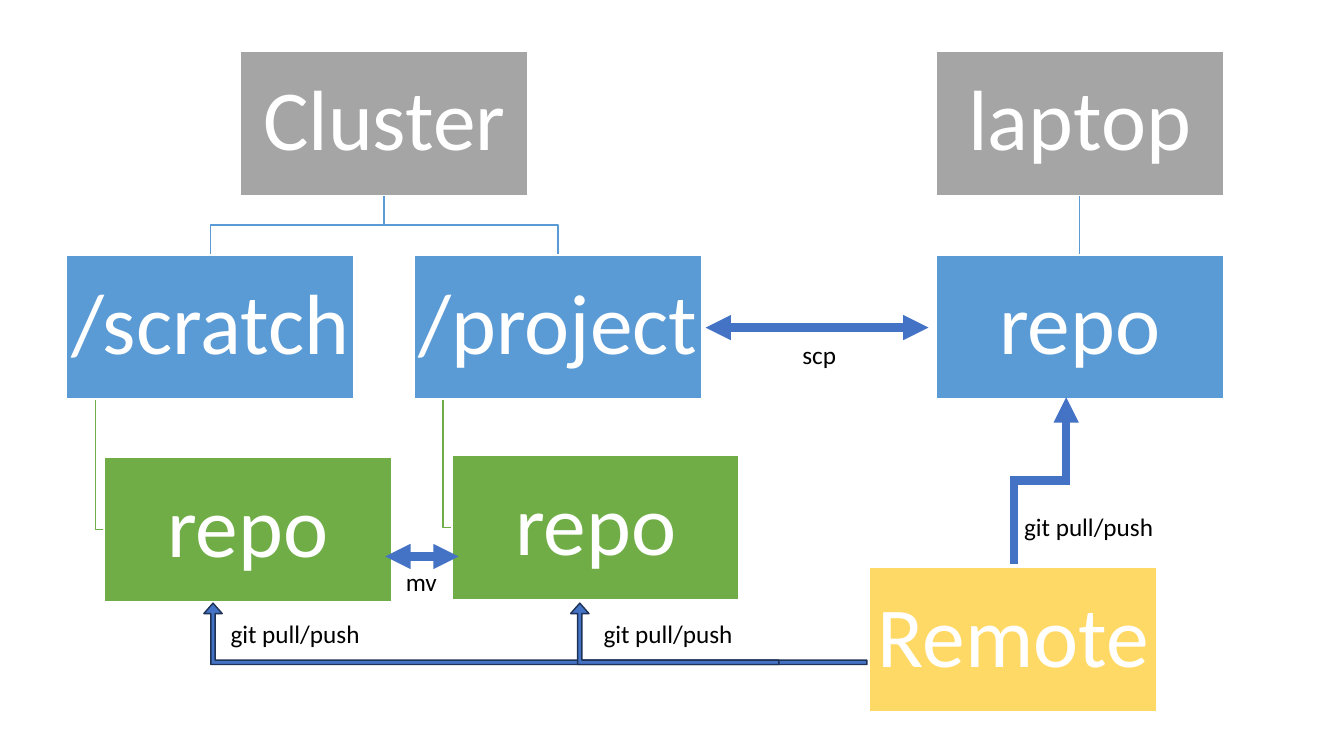
from lxml.etree import SubElement
from pptx import Presentation
from pptx.dml.color import RGBColor
from pptx.enum.shapes import MSO_CONNECTOR, MSO_SHAPE
from pptx.enum.text import MSO_ANCHOR, MSO_AUTO_SIZE, PP_ALIGN
from pptx.oxml.ns import qn
from pptx.util import Inches, Pt

WHITE = RGBColor(0xFF, 0xFF, 0xFF)
BLACK = RGBColor(0x00, 0x00, 0x00)
GRAY = RGBColor(0xA5, 0xA5, 0xA5)
BLUE = RGBColor(0x5B, 0x9B, 0xD5)
GREEN = RGBColor(0x70, 0xAD, 0x47)
YELLOW = RGBColor(0xFF, 0xD9, 0x66)
ARROW_BLUE = RGBColor(0x44, 0x72, 0xC4)
ARROW_EDGE = RGBColor(0x1E, 0x32, 0x56)

COLUMNS, ROWS = 24, 18
BOX_WIDTH, BOX_HEIGHT = 5.13, 3.43
SCRATCH, PITCH = 1.19, 6.21
PROJECT = SCRATCH + PITCH
CLUSTER = SCRATCH + PITCH / 2
LAPTOP = SCRATCH + 2.5 * PITCH
CHILD_INDENT = 0.67
MACHINE_ROW, FOLDER_ROW = 1.22, 6.07
SCRATCH_REPO_ROW, PROJECT_REPO_ROW = 10.9, 10.85
LABEL_HEIGHT = 0.96


def write_text(frame, text, size, color, align=PP_ALIGN.LEFT, font="Calibri", spacing=1.0):
    paragraph = frame.paragraphs[0]
    paragraph.alignment = align
    paragraph.line_spacing = spacing
    run = paragraph.add_run()
    run.text = text
    run.font.name = font
    run.font.size = Pt(size)
    run.font.color.rgb = color


class Diagram:
    def __init__(self, presentation):
        self.column = presentation.slide_width / COLUMNS
        self.row = presentation.slide_height / ROWS
        self.slide = presentation.slides.add_slide(presentation.slide_layouts[6])
        self.shapes = self.slide.shapes

    def place(self, column, row):
        return round(column * self.column), round(row * self.row)

    def branch(self, points, color):
        places = [self.place(*point) for point in points]
        builder = self.shapes.build_freeform(*places[0])
        builder.add_line_segments(places[1:], close=False)
        shape = builder.convert_to_shape()
        shape.shadow.inherit = False
        shape.fill.background()
        shape.line.color.rgb = color
        shape.line.width = Pt(1)

    def descend(self, parent, child):
        start, end = parent + BOX_WIDTH / 2, child + BOX_WIDTH / 2
        bottom = MACHINE_ROW + BOX_HEIGHT
        middle = (bottom + FOLDER_ROW) / 2
        points = [(start, bottom), (start, FOLDER_ROW)]
        if start != end:
            points = [(start, bottom), (start, middle), (end, middle), (end, FOLDER_ROW)]
        self.branch(points, BLUE)

    def hang(self, parent, child_row):
        stem = parent + BOX_WIDTH / 10
        middle = child_row + BOX_HEIGHT / 2
        bottom = FOLDER_ROW + BOX_HEIGHT
        self.branch([(stem, bottom), (stem, middle), (parent + CHILD_INDENT, middle)], GREEN)

    def box(self, text, column, row, color):
        shape = self.shapes.add_shape(
            MSO_SHAPE.RECTANGLE, *self.place(column, row), *self.place(BOX_WIDTH, BOX_HEIGHT))
        shape.shadow.inherit = False
        shape.fill.solid()
        shape.fill.fore_color.rgb = color
        shape.line.color.rgb = WHITE
        shape.line.width = Pt(1)
        frame = shape.text_frame
        frame.word_wrap = True
        frame.vertical_anchor = MSO_ANCHOR.MIDDLE
        frame.margin_left = frame.margin_right = Inches(0.04)
        frame.margin_top = frame.margin_bottom = Inches(0.04)
        write_text(frame, text, 61, WHITE, align=PP_ALIGN.CENTER, spacing=0.9)

    def label(self, text, column, row, width):
        box = self.shapes.add_textbox(*self.place(column, row), *self.place(width, LABEL_HEIGHT))
        box.text_frame.word_wrap = True
        box.text_frame.auto_size = MSO_AUTO_SIZE.SHAPE_TO_FIT_TEXT
        write_text(box.text_frame, text, 18, BLACK)

    def connector(self, kind, start, end, heads):
        connector = self.shapes.add_connector(kind, *start, *end)
        connector.line.color.rgb = ARROW_BLUE
        connector.line.width = Pt(6)
        properties = connector.element.spPr
        line = properties.find(qn("a:ln"))
        SubElement(line, qn("a:miter"), lim="800000")
        for head in heads:
            SubElement(line, qn(head), type="triangle")
        SubElement(properties, qn("a:effectLst"))
        return properties

    def double_arrow(self, left, right, row):
        self.connector(MSO_CONNECTOR.STRAIGHT, self.place(left, row), self.place(right, row),
                       ("a:headEnd", "a:tailEnd"))

    def rising_elbow(self, start, end):
        (left, bottom), (right, top) = self.place(*start), self.place(*end)
        center_x, center_y = (left + right) // 2, (top + bottom) // 2
        half_length, half_offset = (bottom - top) // 2, (right - left) // 2
        properties = self.connector(
            MSO_CONNECTOR.ELBOW,
            (center_x + half_length, center_y + half_offset),
            (center_x - half_length, center_y - half_offset), ("a:tailEnd",))
        properties.find(qn("a:xfrm")).set("rot", str(90 * 60000))

    def bent_arrow(self, left, right, top, height):
        x, y = self.place(left, top)
        length, thickness = self.place(right - left, height)
        shape = self.shapes.add_shape(
            MSO_SHAPE.BENT_ARROW, x + (length - thickness) // 2,
            y + (thickness - length) // 2, thickness, length)
        shape.rotation = 270
        for index, value in enumerate((0.07, 0.15, 0.17, 0)):
            shape.adjustments[index] = value
        shape.shadow.inherit = False
        shape.fill.solid()
        shape.fill.fore_color.rgb = ARROW_BLUE
        shape.line.color.rgb = ARROW_EDGE
        shape.line.width = Pt(1)


def main():
    presentation = Presentation()
    presentation.slide_width = Inches(13.33)
    presentation.slide_height = Inches(7.5)
    diagram = Diagram(presentation)

    for parent, child in ((LAPTOP, LAPTOP), (CLUSTER, PROJECT), (CLUSTER, SCRATCH)):
        diagram.descend(parent, child)
    diagram.hang(PROJECT, PROJECT_REPO_ROW)
    diagram.hang(SCRATCH, SCRATCH_REPO_ROW)

    for text, column, row, color in (
        ("Cluster", CLUSTER, MACHINE_ROW, GRAY),
        ("/scratch", SCRATCH, FOLDER_ROW, BLUE),
        ("repo", SCRATCH + CHILD_INDENT, SCRATCH_REPO_ROW, GREEN),
        ("/project", PROJECT, FOLDER_ROW, BLUE),
        ("repo", PROJECT + CHILD_INDENT, PROJECT_REPO_ROW, GREEN),
        ("Remote", 15.53, 13.51, YELLOW),
        ("laptop", LAPTOP, MACHINE_ROW, GRAY),
        ("repo", LAPTOP, FOLDER_ROW, BLUE),
    ):
        diagram.box(text, column, row, color)

    diagram.rising_elbow((18.11, 13.42), (19.04, 9.46))
    diagram.bent_arrow(3.64, 15.48, 14.36, 1.46)
    diagram.bent_arrow(10.19, 13.91, 14.36, 1.46)
    diagram.double_arrow(6.88, 8.19, 13.25)
    diagram.double_arrow(12.6, 16.58, 7.8)

    for column, row in ((18.11, 12.05), (3.94, 14.6), (10.6, 14.6)):
        diagram.label("git pull/push", column, row, 3.78)
    diagram.label("mv", 7.07, 13.37, 1.31)
    diagram.label("scp", 14.15, 7.97, 1.31)

    presentation.save("out.pptx")


if __name__ == "__main__":
    main()
